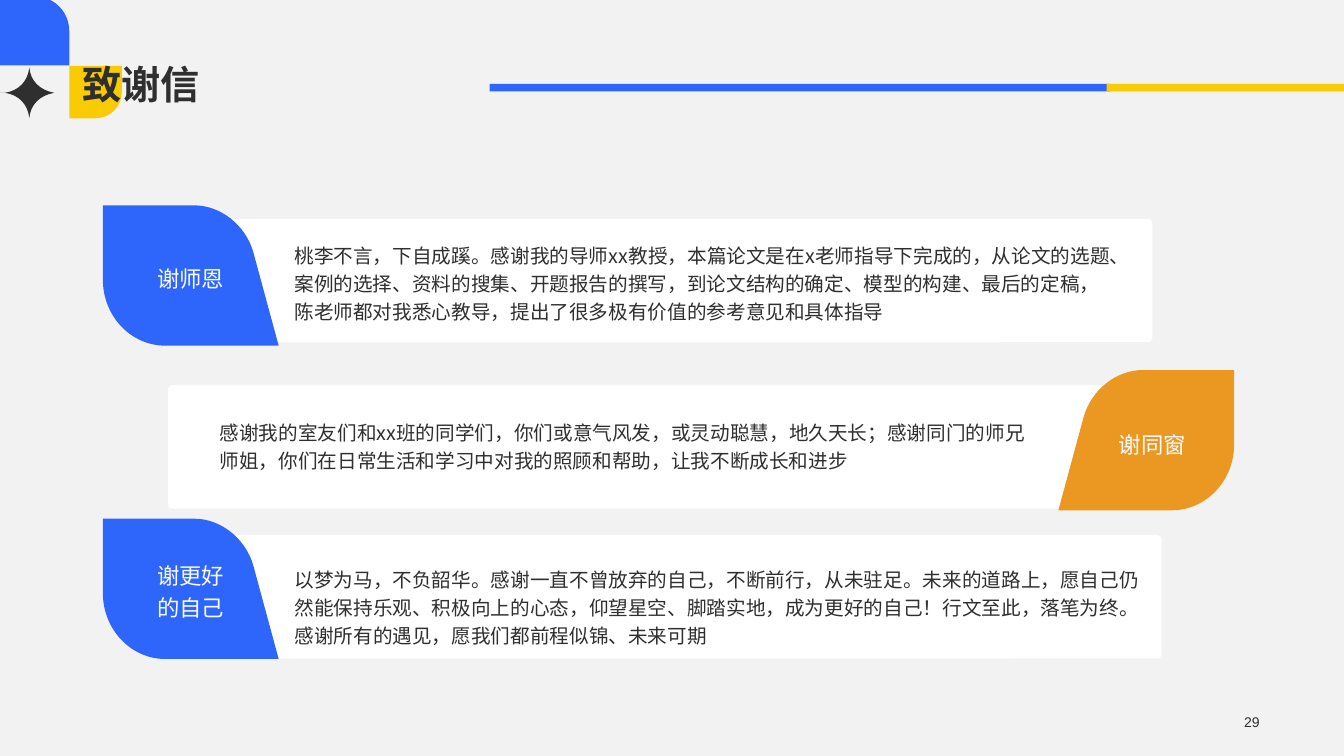
from lxml.etree import SubElement
from pptx import Presentation
from pptx.dml.color import RGBColor
from pptx.enum.shapes import MSO_SHAPE
from pptx.enum.text import MSO_ANCHOR, MSO_AUTO_SIZE, PP_ALIGN
from pptx.oxml.ns import qn
from pptx.util import Inches, Pt


class Theme:
    ground, white = "F2F2F2", "FFFFFF"
    blue, yellow, orange = "2E65FB", "F9CB05", "EB9823"
    ink, label_ink = "2F2F2F", "F9FCFF"
    latin, chinese = "Arial", "Noto Sans CJK SC"
    title_size, label_size, body_size, number_size = 28, 16, 14, 10


# The slide is a grid of 160 columns by 90 rows with square cells.
CELL = Inches(7.5) / 90


def draw_outline(steps, left, top, width, height, color):
    """Fill an outline of unit steps: one point is a line, three are a Bezier curve."""
    places = [((left + x * width) * CELL, (top + y * height) * CELL) for step in steps for x, y in step]
    builder = page.shapes.build_freeform(*places[0])
    builder.add_line_segments(places[1:], close=True)
    shape = builder.convert_to_shape()
    lines = iter(list(shape.element.iter(qn("a:lnTo"))))
    for step in steps[1:]:
        segment = next(lines)
        if len(step) == 3:
            segment.tag = qn("a:cubicBezTo")
            for line in (next(lines), next(lines)):
                segment.append(line[0])
                line.getparent().remove(line)
    shape.shadow.inherit = False
    shape.fill.solid()
    shape.fill.fore_color.rgb = RGBColor.from_string(color)
    shape.line.fill.background()
    return shape


def write(box, lines, size, color, align=PP_ALIGN.LEFT, anchor=MSO_ANCHOR.TOP,
          spacing=1.2, latin=Theme.chinese, bold=False):
    frame = box.text_frame
    settings = {"word_wrap": True, "auto_size": MSO_AUTO_SIZE.NONE, "vertical_anchor": anchor}
    for name, value in settings.items():
        setattr(frame, name, value)
    for index, line in enumerate(lines):
        para = frame.add_paragraph() if index else frame.paragraphs[0]
        para.alignment, para.line_spacing = align, spacing
        span = para.add_run()
        span.text = line
        for name, value in {"size": Pt(size), "name": latin, "bold": bold}.items():
            setattr(span.font, name, value)
        span.font.color.rgb = RGBColor.from_string(color)
        SubElement(span.font._element, qn("a:ea"), typeface=Theme.chinese)


deck = Presentation()
deck.slide_width, deck.slide_height = round(160 * CELL), round(90 * CELL)
page = deck.slides.add_slide(deck.slide_layouts[5])

# Ground, corner ornament, rule and white cards: kind, place, colour, corner radius, rotation
blocks = [
    (MSO_SHAPE.RECTANGLE, (0, 0, 160, 90), Theme.ground, None, 0),
    (MSO_SHAPE.ROUND_1_RECTANGLE, (8.25, 7.83, 6.25, 6.25), Theme.yellow, 0.5, 90),
    (MSO_SHAPE.ROUND_1_RECTANGLE, (0, -0.45, 8.25, 8.25), Theme.blue, 0.5, 0),
    (MSO_SHAPE.RECTANGLE, (58.3, 10, 73.9, 0.88), Theme.blue, None, 0),
    (MSO_SHAPE.RECTANGLE, (131.75, 10, 28.25, 0.88), Theme.yellow, None, 0),
]
cards = [(20, 26.05, 117.2), (20, 45.85, 121.9), (19.8, 63.7, 118.5)]
blocks += [(MSO_SHAPE.ROUNDED_RECTANGLE, (*card, 14.7), Theme.white, 0.037, 0) for card in cards]
for kind, place, color, radius, rotation in blocks:
    block = page.shapes.add_shape(kind, *(round(value * CELL) for value in place))
    block.shadow.inherit = False
    block.fill.solid()
    block.fill.fore_color.rgb = RGBColor.from_string(color)
    block.line.fill.background()
    block.rotation = rotation
    if radius is not None:
        block.adjustments[0] = radius

star = [
    [(0, 0.5)],
    [(0.09, 0.5)],
    [(0.34, 0.46), (0.51, 0.28), (0.54, 0)],
    [(0.56, 0.26), (0.73, 0.45), (1, 0.5)],
    [(0.73, 0.55), (0.56, 0.74), (0.54, 1)],
    [(0.51, 0.72), (0.34, 0.54), (0.09, 0.5)],
]
draw_outline(star, 0, 8.05, 6.47, 6, Theme.ink)

title = page.shapes.title
title.left, title.top, title.width, title.height = (round(value * CELL) for value in (8.64, 0, 142.56, 13.44))
write(title, ["致谢信"], Theme.title_size, Theme.ink, anchor=MSO_ANCHOR.BOTTOM,
      spacing=0.9, latin=Theme.latin, bold=True)
title.element.getparent().append(title.element)

leaf = [
    [(0, 0)],
    [(0.52, 0)],
    [(0.67, 0), (0.81, 0.14), (0.855, 0.33)],
    [(1, 1)],
    [(0.355, 1)],
    [(0.16, 1), (0, 0.79), (0, 0.53)],
]
mirrored_leaf = [[(1 - x, y) for x, y in step] for step in leaf]

# Each thanks: leaf outline, leaf corner, colour, label lines, body place, body
thanks = [
    (leaf, (12.25, 24.45), Theme.blue, ["谢师恩"], (33.88, 27.85, 99.8, 11.15),
     "桃李不言，下自成蹊。感谢我的导师xx教授，本篇论文是在x老师指导下完成的，从论文的选题、案例的选择、"
     "资料的搜集、开题报告的撰写，到论文结构的确定、模型的构建、最后的定稿，陈老师都对我悉心教导，"
     "提出了很多极有价值的参考意见和具体指导"),
    (mirrored_leaf, (126, 44.05), Theme.orange, ["谢同窗"], (24.96, 48.95, 99.35, 7.7),
     "感谢我的室友们和xx班的同学们，你们或意气风发，或灵动聪慧，地久天长；感谢同门的师兄师姐，"
     "你们在日常生活和学习中对我的照顾和帮助，让我不断成长和进步"),
    (leaf, (12.25, 61.75), Theme.blue, ["谢更好", "的自己"], (33.88, 66.45, 103.3, 11.15),
     "以梦为马，不负韶华。感谢一直不曾放弃的自己，不断前行，从未驻足。未来的道路上，愿自己仍然能保持乐观、"
     "积极向上的心态，仰望星空、脚踏实地，成为更好的自己！行文至此，落笔为终。感谢所有的遇见，"
     "愿我们都前程似锦、未来可期"),
]
for outline, corner, color, label, place, body in thanks:
    tab = draw_outline(outline, *corner, 20.93, 16.7, color)
    write(tab, label, Theme.label_size, Theme.label_ink, PP_ALIGN.CENTER, MSO_ANCHOR.MIDDLE)
    if outline is mirrored_leaf:
        tab.text_frame.margin_left, tab.text_frame.margin_top = Inches(0.22), Inches(0.09)
    box = page.shapes.add_textbox(*(round(value * CELL) for value in place))
    write(box, [body], Theme.body_size, Theme.ink)

number = page.shapes.add_textbox(*(round(value * CELL) for value in (116.25, 84.5, 34.9, 2.9)))
write(number, ["29"], Theme.number_size, Theme.ink, PP_ALIGN.RIGHT, MSO_ANCHOR.MIDDLE,
      spacing=1.0, latin=Theme.latin)

deck.save("out.pptx")
